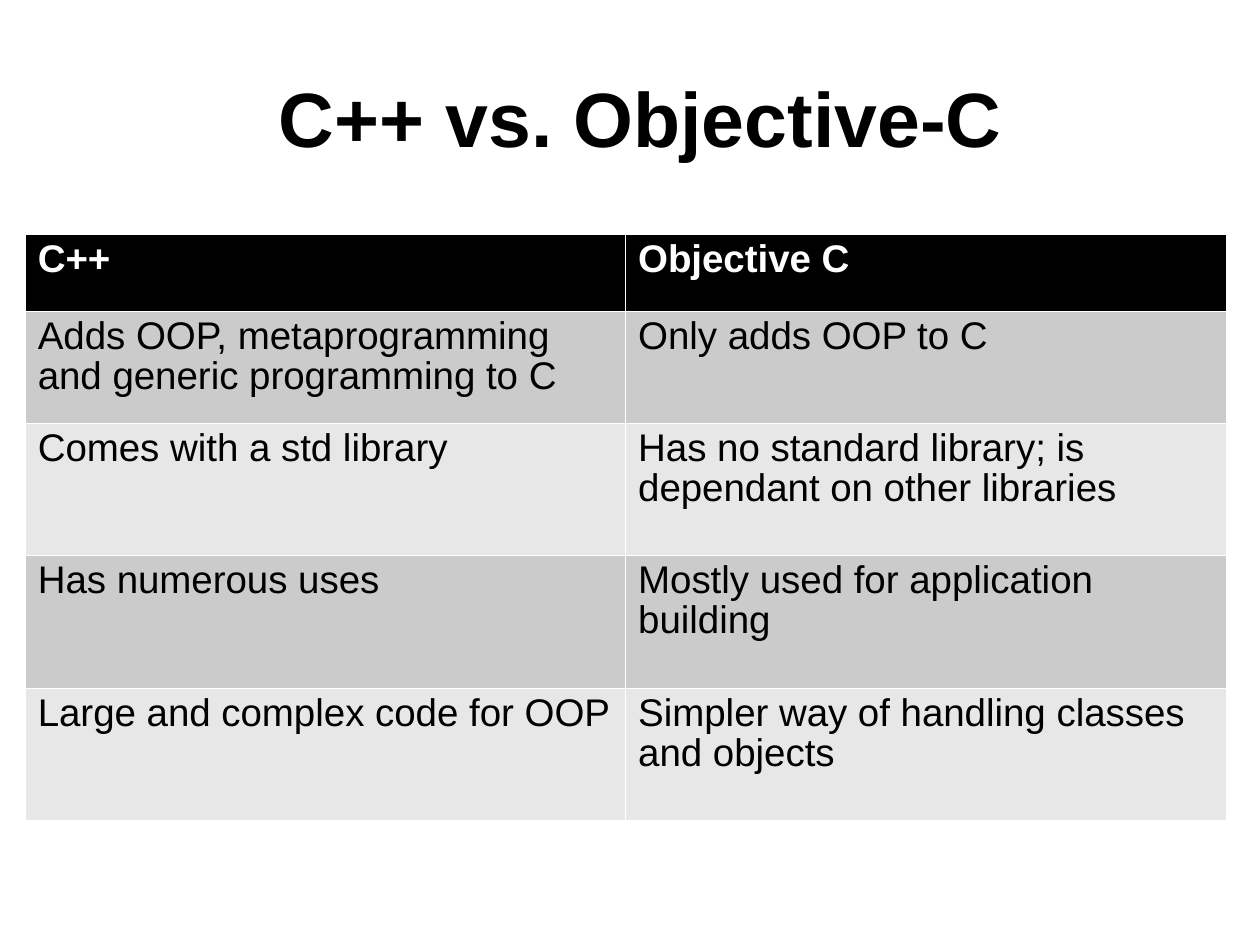
from lxml import etree
from pptx import Presentation, util as u
from pptx.dml.color import RGBColor
from pptx.enum import text
from pptx.oxml import ns

BLACK = RGBColor(0x00, 0x00, 0x00)
WHITE = RGBColor(0xFF, 0xFF, 0xFF)
DARK_BAND = RGBColor(0xCB, 0xCB, 0xCB)
LIGHT_BAND = RGBColor(0xE7, 0xE7, 0xE7)
FONT = "Arial"
THIN, THICK = 0.23, 0.75  # border widths in points

TITLE_BOX = (0.5, 0.14, 8.17, 1.57)
TABLE_BOX = (0.2, 1.86, 9.53, 4.65)
ROW_HEIGHTS = (0.61, 0.89, 1.05, 1.05, 1.05)
ROWS = (
    ("C++", "Objective C"),
    ("Adds OOP, metaprogramming and generic programming to C",
     "Only adds OOP to C"),
    ("Comes with a std library",
     "Has no standard library; is dependant on other libraries"),
    ("Has numerous uses", "Mostly used for application building"),
    ("Large and complex code for OOP",
     "Simpler way of handling classes and objects"),
)


def style_font(font, size, color, bold):
    font.name = FONT
    font.size = u.Pt(size)
    font.bold = bold
    font.color.rgb = color


def add_borders(cell, widths):
    """Draw white cell borders; widths maps a side (L, R, T, B) to points."""
    properties = cell._tc.get_or_add_tcPr()
    for index, (side, width) in enumerate(widths.items()):
        line = etree.Element(ns.qn(f"a:ln{side}"), w=str(int(u.Pt(width))))
        fill = etree.SubElement(line, ns.qn("a:solidFill"))
        etree.SubElement(fill, ns.qn("a:srgbClr"), val=str(WHITE))
        properties.insert(index, line)


def place_title(slide, box, wording):
    title = slide.shapes.title
    title.left, title.top, title.width, title.height = map(u.Inches, box)
    frame = title.text_frame
    frame.text = wording
    frame.word_wrap = True
    frame.auto_size = text.MSO_AUTO_SIZE.NONE
    frame.vertical_anchor = text.MSO_ANCHOR.MIDDLE
    # The wide left inset centres the title over the table
    frame.margin_left = u.Inches(1.05)
    frame.margin_right = frame.margin_top = frame.margin_bottom = u.Inches(0.05)
    paragraph = frame.paragraphs[0]
    paragraph.alignment = text.PP_ALIGN.CENTER
    style_font(paragraph.font, 44, BLACK, True)


def place_comparison(slide, box, rows):
    table = slide.shapes.add_table(
        len(rows), len(rows[0]), *map(u.Inches, box)).table
    for row, height in zip(table.rows, ROW_HEIGHTS):
        row.height = u.Inches(height)

    for row_index, wordings in enumerate(rows):
        header = row_index == 0
        band = DARK_BAND if row_index % 2 else LIGHT_BAND
        borders = {"L": THIN, "R": THIN,
                   "T": THICK if row_index == 1 else THIN,
                   "B": THICK if header else THIN}
        for column_index, wording in enumerate(wordings):
            cell = table.cell(row_index, column_index)
            cell.text = wording
            cell.fill.solid()
            cell.fill.fore_color.rgb = BLACK if header else band
            add_borders(cell, borders)
            paragraph = cell.text_frame.paragraphs[0]
            paragraph.line_spacing = 0.93
            style_font(paragraph.font, 22, WHITE if header else BLACK, header)


def main():
    presentation = Presentation()
    presentation.slide_width = u.Inches(10)
    presentation.slide_height = u.Inches(7.5)
    title_only = presentation.slide_layouts[5]
    slide = presentation.slides.add_slide(title_only)
    place_title(slide, TITLE_BOX, "C++ vs. Objective-C")
    place_comparison(slide, TABLE_BOX, ROWS)
    presentation.save("out.pptx")


if __name__ == "__main__":
    main()
